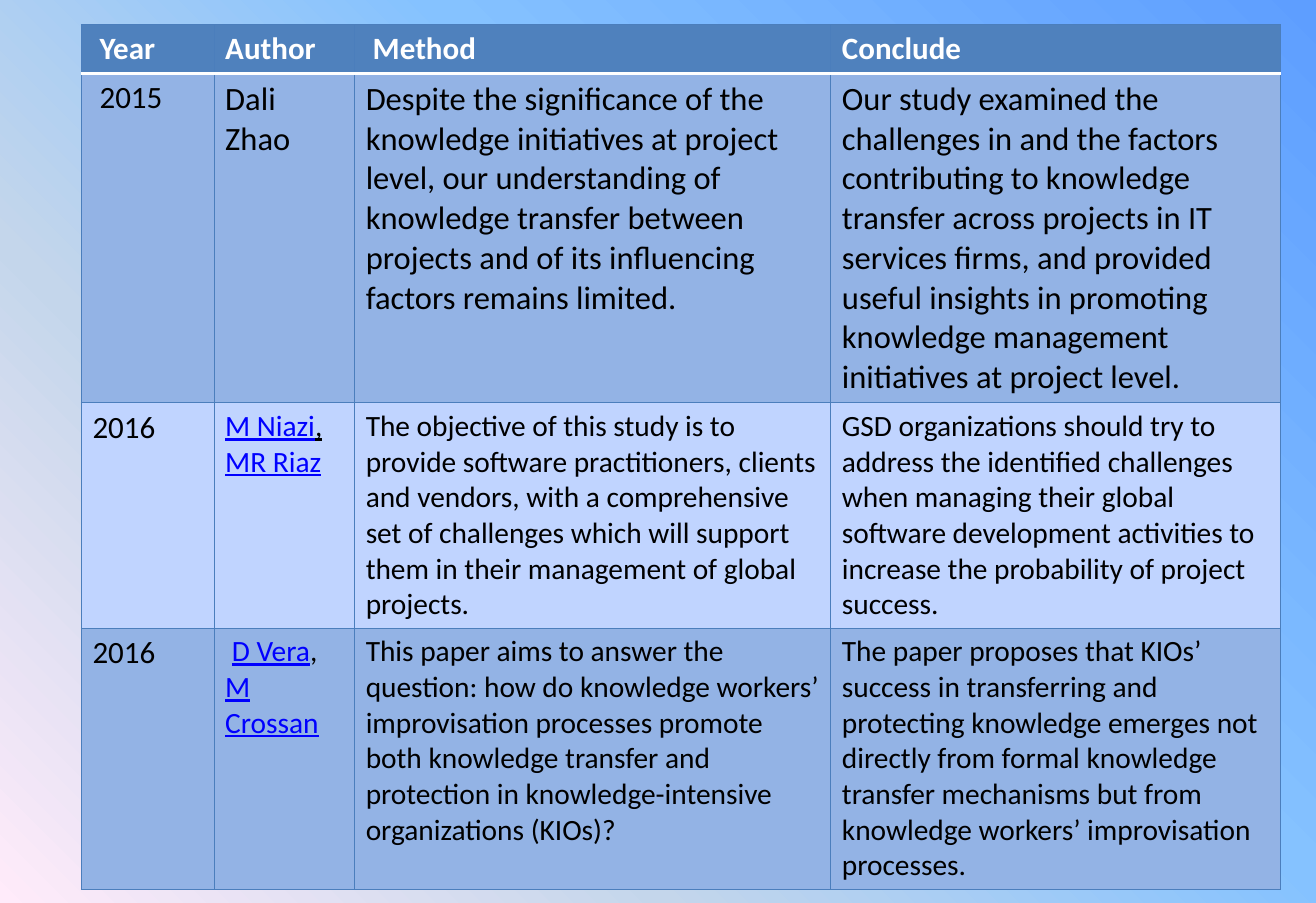
from lxml import etree
from pptx import Presentation
from pptx.dml.color import RGBColor
from pptx.oxml.ns import qn
from pptx.util import Inches, Pt

BLANK_LAYOUT = 6
SLIDE_WIDTH, SLIDE_HEIGHT = 11.8, 8.1
TABLE_LEFT, TABLE_TOP = 0.73, 0.22
COLUMN_WIDTHS = [1.19, 1.26, 4.27, 4.03]
ROW_HEIGHTS = [0.43, 2.83, 1.95, 2.26]
FONT_NAME = "Calibri"
BORDER_WIDTH, HEADER_RULE_WIDTH = 0.75, 2

COLORS = {
    "header": "4F81BD",
    "band": "93B3E5",
    "plain": "C0D4FF",
    "border": "4B7EBC",
    "white": "FFFFFF",
    "black": "000000",
    "link": "0000FF",
}
BACKGROUND_STOPS = [(0, "5E9EFF"), (40, "85C2FF"), (70, "C4D6EB"), (100, "FFEBFA")]
BACKGROUND_ANGLE = 135

HEADING = {"size": 20, "bold": True, "color": "white"}
YEAR = {"size": 20}
LARGE = {"size": 21}
BODY = {"size": 19}
UNDERLINED = {"size": 19, "underline": True}
LINK = {"size": 19, "underline": True, "color": "link"}

# A cell is a list of paragraphs, a paragraph a list of (text, format) runs.
HEADINGS = [[[(text, HEADING)]] for text in (" Year", "Author", " Method", "Conclude")]
STUDIES = [
    [
        [[(" 2015", YEAR)]],
        [[("Dali Zhao", LARGE)]],
        [[("Despite the significance of the knowledge initiatives at project level, "
           "our understanding of knowledge transfer between projects and of its "
           "influencing factors remains limited.", LARGE)]],
        [[("Our study examined the challenges in and the factors contributing to "
           "knowledge transfer across projects in IT services firms, and provided "
           "useful insights in promoting knowledge management initiatives at "
           "project level.", LARGE)]],
    ],
    [
        [[("2016", YEAR)]],
        [[("M Niazi", LINK), (",", UNDERLINED)], [("MR Riaz", LINK)]],
        [[("The objective of this study is to provide software practitioners, "
           "clients and vendors, with a comprehensive set of challenges which will "
           "support them in their management of global projects.", BODY)]],
        [[("GSD organizations should try to address the identified challenges when "
           "managing their global software development activities to increase the "
           "probability of project success.", BODY)]],
    ],
    [
        [[("2016", YEAR)]],
        [[(" ", BODY), ("D Vera", LINK), (", ", BODY), ("M Crossan", LINK)]],
        [[("This paper aims to answer the question: how do knowledge workers’ "
           "improvisation processes promote both knowledge transfer and protection "
           "in knowledge-intensive organizations (KIOs)?", BODY)]],
        [[("The paper proposes that KIOs’ success in transferring and protecting "
           "knowledge emerges not directly from formal knowledge transfer mechanisms "
           "but from knowledge workers’ improvisation processes.", BODY)]],
    ],
]


def set_gradient_background(slide):
    fill = slide.background.fill
    fill.gradient()
    fill.gradient_angle = 360 - BACKGROUND_ANGLE
    stop_list = slide.background._cSld.find(".//" + qn("a:gsLst"))
    for stop in list(stop_list):
        stop_list.remove(stop)
    for percent, color in BACKGROUND_STOPS:
        stop = etree.SubElement(stop_list, qn("a:gs"), pos=str(percent * 1000))
        etree.SubElement(stop, qn("a:srgbClr"), val=color)


def add_border(cell, side, color, width):
    properties = cell._tc.get_or_add_tcPr()
    line = etree.SubElement(properties, qn("a:ln" + side), w=str(Pt(width)))
    fill = etree.SubElement(line, qn("a:solidFill"))
    etree.SubElement(fill, qn("a:srgbClr"), val=COLORS[color])


def style_cell(cell, row_index):
    rule = ("white", HEADER_RULE_WIDTH)
    edge = ("border", BORDER_WIDTH)
    borders = {
        "L": edge,
        "R": edge,
        "T": rule if row_index == 1 else edge,
        "B": rule if row_index == 0 else edge,
    }
    for side, (color, width) in borders.items():
        add_border(cell, side, color, width)
    fill_name = "header" if row_index == 0 else ("plain", "band")[row_index % 2]
    cell.fill.solid()
    cell.fill.fore_color.rgb = RGBColor.from_string(COLORS[fill_name])


def add_run(paragraph, text, run_format):
    run = paragraph.add_run()
    run.text = text
    values = {
        "name": FONT_NAME,
        "size": Pt(run_format["size"]),
        "bold": run_format.get("bold", False),
        "underline": run_format.get("underline", False),
    }
    for attribute, value in values.items():
        setattr(run.font, attribute, value)
    color = COLORS[run_format.get("color", "black")]
    run.font.color.rgb = RGBColor.from_string(color)


def fill_cell(cell, paragraphs):
    for index, runs in enumerate(paragraphs):
        frame = cell.text_frame
        paragraph = frame.add_paragraph() if index else frame.paragraphs[0]
        for text, run_format in runs:
            add_run(paragraph, text, run_format)


def add_study_table(slide, rows):
    table = slide.shapes.add_table(
        len(rows), len(COLUMN_WIDTHS), Inches(TABLE_LEFT), Inches(TABLE_TOP),
        Inches(sum(COLUMN_WIDTHS)), Inches(sum(ROW_HEIGHTS)),
    ).table
    table.horz_banding = False
    for column, width in zip(table.columns, COLUMN_WIDTHS):
        column.width = Inches(width)
    for row_index, cells in enumerate(rows):
        table.rows[row_index].height = Inches(ROW_HEIGHTS[row_index])
        for column_index, paragraphs in enumerate(cells):
            cell = table.cell(row_index, column_index)
            style_cell(cell, row_index)
            fill_cell(cell, paragraphs)


def main():
    presentation = Presentation()
    presentation.slide_width = Inches(SLIDE_WIDTH)
    presentation.slide_height = Inches(SLIDE_HEIGHT)
    slide = presentation.slides.add_slide(presentation.slide_layouts[BLANK_LAYOUT])
    set_gradient_background(slide)
    add_study_table(slide, [HEADINGS] + STUDIES)
    presentation.save("out.pptx")


if __name__ == "__main__":
    main()
